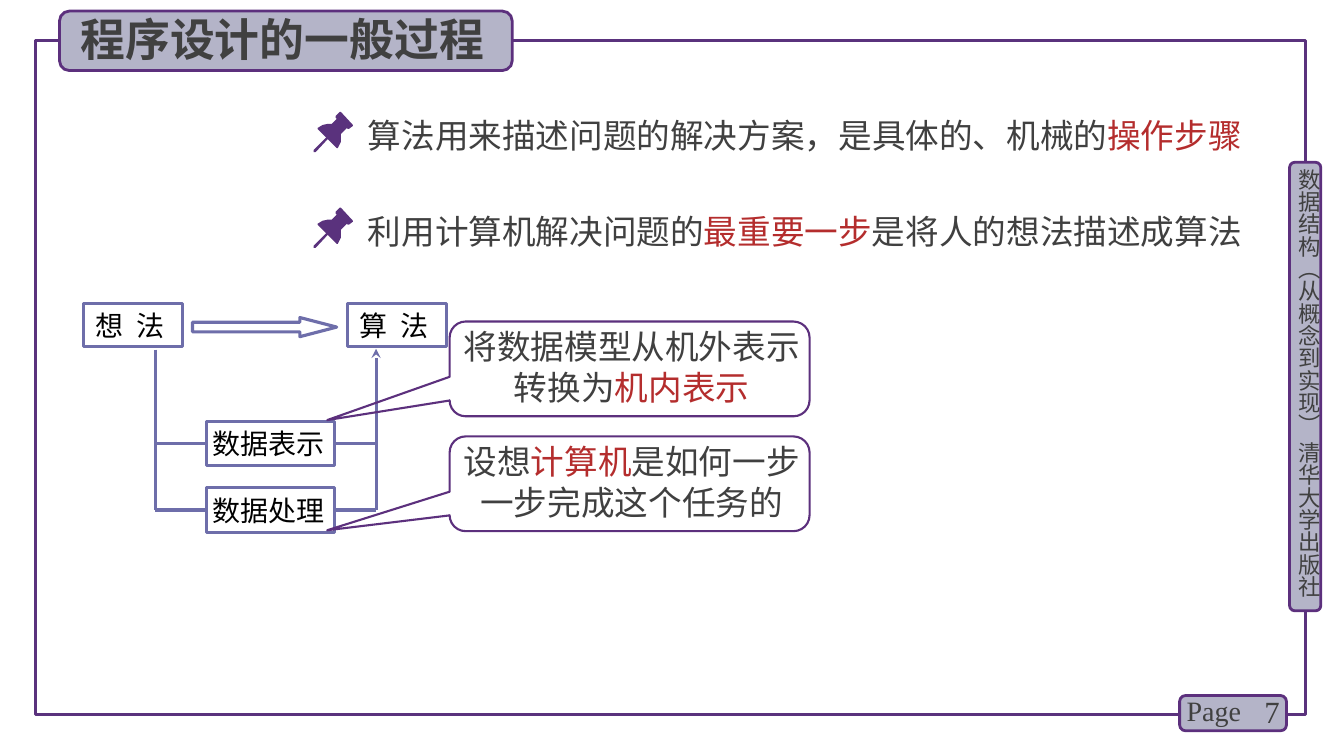
from lxml import etree
from pptx import Presentation
from pptx import util as u
from pptx.dml import color
from pptx.enum import shapes, text
from pptx.oxml import ns

PX = 9144
SANS, SERIF = "Noto Sans CJK SC", "Times New Roman"
FRAME, EDGE, FLOW = "5A327D", "5C307D", "6E6EAA"
PALE, INK, RED, BLACK = "B4B4C8", "404040", "B42D2D", "000000"
KIND = shapes.MSO_SHAPE
TOP, MID = text.MSO_ANCHOR.TOP, text.MSO_ANCHOR.MIDDLE
LEFT, MIDST, RIGHT = text.PP_ALIGN.LEFT, text.PP_ALIGN.CENTER, text.PP_ALIGN.RIGHT
HEAD = [(39, 13), (27, 0), (26, 0), (22, 4), (22, 6), (23, 7), (18, 12),
        (14, 12), (9, 13), (4, 16), (4, 17), (23, 36), (24, 36), (27, 30),
        (27, 22), (33, 16), (34, 17), (35, 17), (39, 14)]
TIP = [(0, 40), (0, 38), (13, 25), (15, 25), (15, 26), (2, 40)]


def rgb(code):
    return color.RGBColor.from_string(code)


def emu(*vals):
    return [u.Emu(val * PX) for val in vals]


def assign(item, vals):
    for name, val in vals.items():
        setattr(item, name, val)


def paint(shape, fill=None, line=None, width=2.25):
    shape.shadow.inherit = False
    if fill:
        shape.fill.solid()
        shape.fill.fore_color.rgb = rgb(fill)
    else:
        shape.fill.background()
    if line:
        shape.line.color.rgb = rgb(line)
        shape.line.width = u.Pt(width)
    else:
        shape.line.fill.background()


def draw(slide, kind, box, fill=None, line=None, width=2.25, adjust=()):
    shape = slide.shapes.add_shape(kind, *emu(*box))
    paint(shape, fill, line, width)
    for index, val in enumerate(adjust):
        shape.adjustments[index] = val
    return shape


def write(shape, runs, size, face=SANS, bold=False, align=LEFT, anchor=TOP,
          inset=(10, 5, 10, 5), track=0):
    frame = shape.text_frame
    sides = ("margin_left", "margin_top", "margin_right", "margin_bottom")
    assign(frame, {"word_wrap": True, "vertical_anchor": anchor,
                   **dict(zip(sides, emu(*inset)))})
    para = frame.paragraphs[0]
    para.alignment = align
    for words, tone in runs:
        run = para.add_run()
        run.text = words
        assign(run.font, {"name": face, "size": u.Pt(size), "bold": bold})
        run.font.color.rgb = rgb(tone)
        props = run.font._element
        etree.SubElement(props, ns.qn("a:ea")).set("typeface", face)
        if track:
            props.set("spc", str(track))


def label(slide, box, runs, size, **style):
    shape = slide.shapes.add_textbox(*emu(*box))
    write(shape, runs, size, **style)
    return shape


def link(slide, start, end, arrow=False):
    line = slide.shapes.add_connector(
        shapes.MSO_CONNECTOR.STRAIGHT, *emu(*start, *end))
    line.line.color.rgb = rgb(FLOW)
    line.line.width = u.Pt(2.25)
    if arrow:
        tail = etree.SubElement(line.line._get_or_add_ln(), ns.qn("a:tailEnd"))
        tail.set("type", "stealth")
    etree.SubElement(line._element.spPr, ns.qn("a:effectLst"))
    return line


def border(slide, box):
    draw(slide, KIND.RECTANGLE, box, line=FRAME)


def banner(slide, box):
    left, top, wide, high = box
    draw(slide, KIND.ROUNDED_RECTANGLE, box, PALE, EDGE, 2)
    label(slide, (left + 11, top - 4, wide - 5, high + 5),
          [("程序设计的一般过程", INK)], 32, bold=True)


def spine(slide, box):
    left, top, wide, high = box
    draw(slide, KIND.ROUNDED_RECTANGLE, box, PALE, EDGE, 2)
    name = label(slide, (left + 6, top + 6, wide - 4, high + 4),
                 [("数据结构（从概念到实现） 清华大学出版社", INK)], 16,
                 inset=(0, 0, 0, 0))
    name.text_frame._txBody.bodyPr.set("vert", "eaVert")


def folio(slide, box):
    left, top, wide, high = box
    draw(slide, KIND.ROUNDED_RECTANGLE, box, PALE, EDGE, 2)
    label(slide, (left + 50, top - 4, 59, 40), [("7", INK)], 22,
          face=SERIF, align=RIGHT, anchor=MID)
    label(slide, (left - 3, top - 7, 78, 44), [("Page", INK)], 20, face=SERIF)


def point(slide, box, runs):
    left, top, wide, high = box
    label(slide, (left + 44, top - 2, wide - 44, high), runs, 24)
    for part in (HEAD, TIP):
        spots = [(left + x, top + y) for x, y in part]
        path = slide.shapes.build_freeform(*spots[0], scale=PX)
        path.add_line_segments(spots[1:], close=True)
        paint(path.convert_to_shape(), FRAME)


def node(slide, box, words, inset=6, track=0):
    shape = draw(slide, KIND.RECTANGLE, box, line=FLOW)
    write(shape, [(words, BLACK)], 20, anchor=MID,
          inset=(inset, 1, 6, 1), track=track)
    return shape


def flow(slide, box):
    left, top, wide, high = box
    for words, x in (("想 法", left), ("算 法", left + wide - 98)):
        node(slide, (x, top, 98, 43), words, inset=12, track=225)
    draw(slide, KIND.RIGHT_ARROW, (left + 108, top + 14, 143, 19),
         line=FLOW, adjust=(0.5, 1.92))
    trunk, riser, low = left + 71, left + 290, top + high - 22
    link(slide, (trunk, top + 46), (trunk, low))
    for words, y in (("数据表示", low - 66), ("数据处理", low)):
        step = node(slide, (left + 122, y - 22, 127, 44), words)
        link(slide, (trunk, y), (left + 122, y)).end_connect(step, 1)
        link(slide, (left + 249, y), (riser, y)).begin_connect(step, 3)
    link(slide, (riser, low), (riser, top + 45), arrow=True)


def callout(slide, box, reach, runs):
    shape = draw(slide, KIND.ROUNDED_RECTANGULAR_CALLOUT, box, line=EDGE,
                 width=1.5, adjust=(-0.84, reach, 0.17))
    write(shape, runs, 24, align=MIDST, inset=(4, 0, 0, 0))


def main():
    deck = Presentation()
    assign(deck, dict(zip(("slide_width", "slide_height"), emu(1333, 750))))
    slide = deck.slides.add_slide(deck.slide_layouts[6])
    border(slide, (35, 40, 1260, 669))
    spine(slide, (1279, 161, 31, 445))
    folio(slide, (1170, 690, 106, 35))
    banner(slide, (59, 11, 449, 59))
    flow(slide, (83, 301, 360, 227))
    notes = [
        (0.54, [("将数据模型从机外表示转换为", INK), ("机内表示", RED)]),
        (0.49, [("设想", INK), ("计算机", RED),
                ("是如何一步一步完成这个任务的", INK)]),
    ]
    for row, (reach, runs) in enumerate(notes):
        callout(slide, (446, 319 + 114 * row, 357, 94), reach, runs)
    points = [
        [("算法用来描述问题的解决方案，是具体的、机械的", INK), ("操作步骤", RED)],
        [("利用计算机解决问题的", INK), ("最重要一步", RED),
         ("是将人的想法描述成算法", INK)],
    ]
    for row, runs in enumerate(points):
        point(slide, (311, 111 + 95 * row, 965, 50), runs)
    deck.save("out.pptx")


if __name__ == "__main__":
    main()
